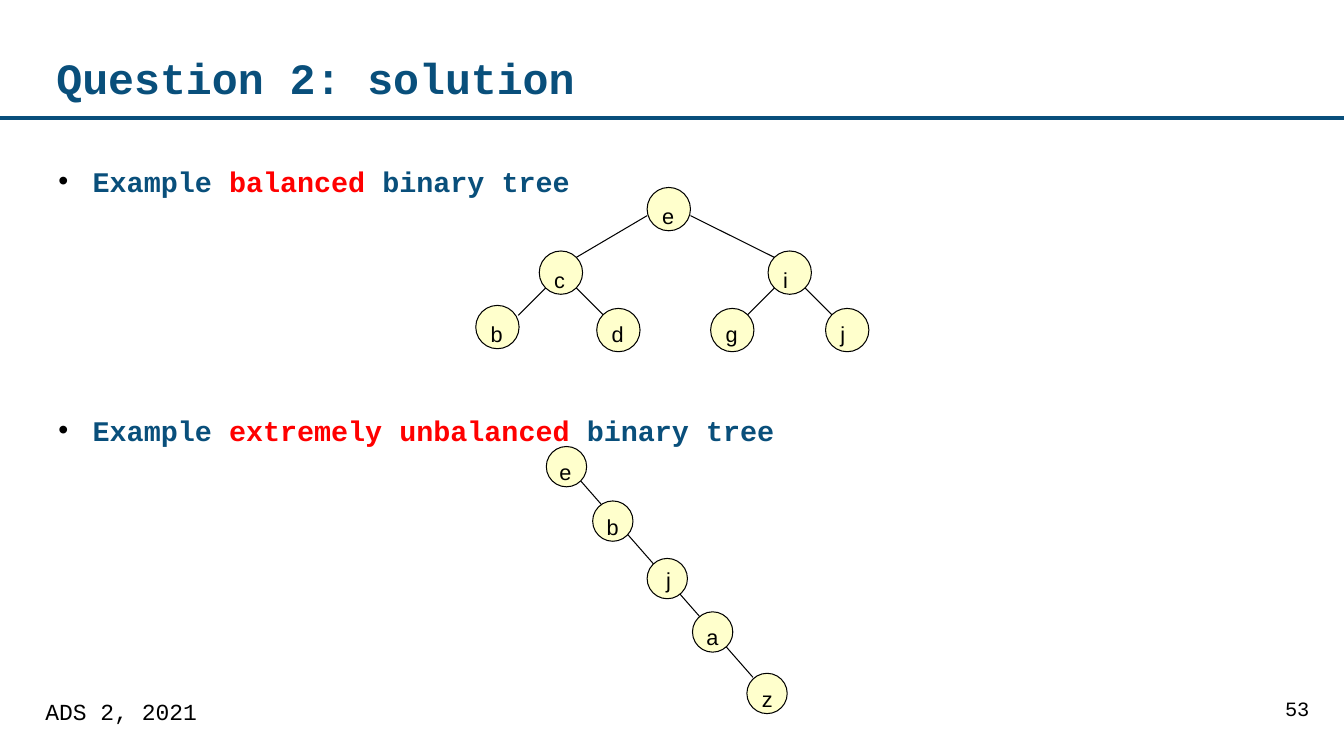
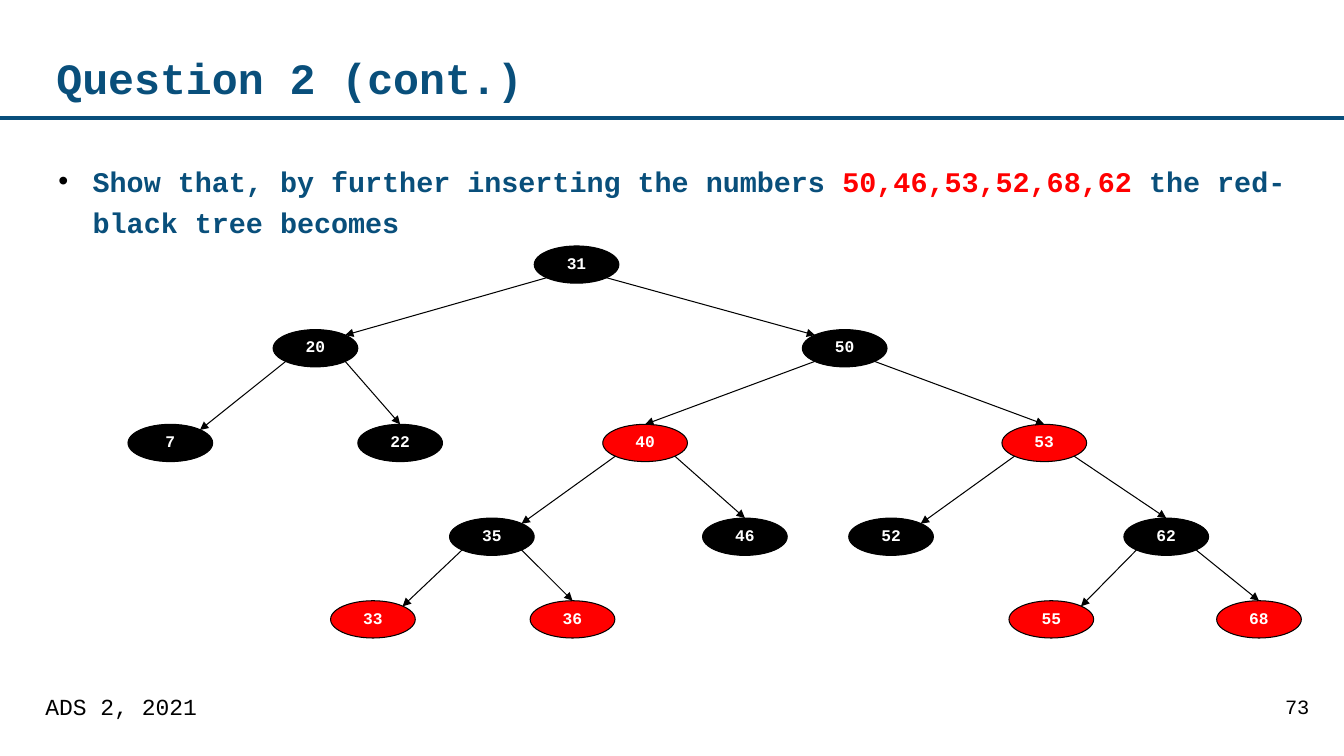
"""Build two lecture slides on balanced binary trees and red-black trees."""
import dataclasses
import functools

import lxml.etree
import pptx
import pptx.dml.color
import pptx.enum.shapes
import pptx.enum.text
import pptx.oxml.ns
import pptx.util

COLUMNS, ROWS = 133.33, 75
CELL = pptx.util.Inches(0.1)
ALIGN = pptx.enum.text.PP_ALIGN
ANCHOR = pptx.enum.text.MSO_ANCHOR
SHAPES = pptx.enum.shapes.MSO_SHAPE
RGB = pptx.dml.color.RGBColor.from_string


@dataclasses.dataclass(frozen=True)
class Theme:
    """Colours, fonts, type sizes and line widths of the deck."""
    blue: str = "094F7B"
    red: str = "FF0000"
    black: str = "000000"
    white: str = "FFFFFF"
    cream: str = "FFFFCC"
    mono: str = "Courier New"
    sans: str = "Arial"
    title: float = 30.9
    body: float = 20.3
    footer: float = 16.4
    page: float = 14.5
    letter: float = 15.5
    key: float = 11.6
    rule: float = 2.75
    thin: float = 0.75


THEME = Theme()

TOP = (0.5, 0)
UPPER_LEFT, UPPER_RIGHT = (0.15, 0.15), (0.85, 0.15)
LOWER_LEFT, LOWER_RIGHT = (0.15, 0.85), (0.85, 0.85)

LETTER_SIZE = 4.3
LETTERS = {
    "e": (64.2, 18.6, 1.5, 1.2),
    "c": (53.5, 24.9, 1.5, 1.2),
    "i": (76.2, 24.9, 1.5, 1.2),
    "b": (47.2, 30.3, 1.5, 1.2),
    "d": (59.2, 30.6, 1.5, 0.9),
    "g": (70.5, 30.6, 1.5, 0.9),
    "j": (81.9, 30.6, 1.5, 0.9),
}
LETTER_LINKS = [
    ("e", (0, 0.65), "c", UPPER_RIGHT),
    ("e", (1, 0.65), "i", UPPER_LEFT),
    ("c", LOWER_LEFT, "b", (0.98, 0.23)),
    ("c", LOWER_RIGHT, "d", UPPER_LEFT),
    ("i", LOWER_LEFT, "g", UPPER_RIGHT),
    ("i", LOWER_RIGHT, "j", UPPER_LEFT),
]

CHAIN_SIZE = 4
CHAIN = {
    "e": (54.2, 44.3, 1.3, 0.9),
    "b": (58.8, 49.7, 1.4, 0.9),
    "j": (64.2, 55.4, 1.9, 0.5),
    "a": (68.7, 60.7, 1.4, 0.8),
    "z": (74.1, 66.8, 1.5, 0.9),
}

KEY_WIDTH, KEY_HEIGHT = 8.4, 3.7
KEY_LEVELS = [
    (24.4, THEME.black, {"31": 53}),
    (32.7, THEME.black, {"20": 27.1, "50": 79.6}),
    (42.1, THEME.black, {"7": 12.7, "22": 35.5}),
    (42.1, THEME.red, {"40": 59.8, "53": 99.4}),
    (51.4, THEME.black, {"35": 44.6, "46": 69.7, "52": 84.2, "62": 111.5}),
    (59.6, THEME.red, {"33": 32.8, "36": 52.6, "55": 100.1, "68": 120.7}),
]
KEY_CHILDREN = {
    "31": ("20", "50"), "20": ("7", "22"), "50": ("40", "53"),
    "40": ("35", "46"), "53": ("52", "62"),
    "35": ("33", "36"), "62": ("55", "68"),
}
KEY_ENDS = {"40": TOP, "50": UPPER_LEFT}


def cells(*counts):
    """Turn counts of grid cells into lengths."""
    return [round(count * CELL) for count in counts]


def apply_format(target, values):
    """Set attributes, whose names may be dotted, from a dict."""
    for name, value in values.items():
        *owners, attribute = name.split(".")
        setattr(functools.reduce(getattr, owners, target), attribute, value)


def font_format(size, color, name=THEME.mono, bold=False):
    """Return the format values of a run's font."""
    return {"size": pptx.util.Pt(size), "name": name, "bold": bold,
            "color.rgb": RGB(color)}


def frame_format(left=0, top=0, right=0, bottom=0, anchor=ANCHOR.TOP):
    """Return the format values of a wrapping text frame."""
    sides = zip(("left", "top", "right", "bottom"),
                cells(left, top, right, bottom))
    margins = {f"margin_{side}": length for side, length in sides}
    return {"word_wrap": True, "vertical_anchor": anchor, **margins}


def write_runs(paragraph, runs, paragraph_values):
    """Fill a paragraph with pairs of text and font format."""
    apply_format(paragraph, paragraph_values)
    for text, font_values in runs:
        run = paragraph.add_run()
        run.text = text
        apply_format(run.font, font_values)


def add_text(slide, box, text, font_values, frame_values, **paragraph_values):
    """Add a text box with one line."""
    text_frame = slide.shapes.add_textbox(*cells(*box)).text_frame
    apply_format(text_frame, frame_values)
    write_runs(text_frame.paragraphs[0], [(text, font_values)],
               paragraph_values)


def add_bullet(paragraph):
    """Give a paragraph a hanging black bullet."""
    properties = paragraph._p.get_or_add_pPr()
    properties.set("marL", str(pptx.util.Inches(0.36)))
    properties.set("indent", str(pptx.util.Inches(-0.34)))
    qualify = pptx.oxml.ns.qn
    color = lxml.etree.SubElement(properties, qualify("a:buClr"))
    lxml.etree.SubElement(color, qualify("a:srgbClr"), val=THEME.black)
    lxml.etree.SubElement(properties, qualify("a:buFont"), typeface=THEME.sans)
    lxml.etree.SubElement(properties, qualify("a:buChar"), char="•")


def add_bullets(slide, bullets, gap=0):
    """Add bullets whose runs alternate between blue and red."""
    box = slide.shapes.add_textbox(*cells(5.6, 15.6, 122.2, 51.1))
    apply_format(box.text_frame, frame_format())
    for index, texts in enumerate(bullets):
        if index:
            paragraph = box.text_frame.add_paragraph()
        else:
            paragraph = box.text_frame.paragraphs[0]
        add_bullet(paragraph)
        colors = (THEME.blue, THEME.red, THEME.blue)
        runs = [(text, font_format(THEME.body, color, bold=True))
                for text, color in zip(texts, colors)]
        space = pptx.util.Pt(gap if index else 0)
        write_runs(paragraph, runs,
                   {"line_spacing": 1.2, "space_before": space})


def add_line(slide, start, end, color=THEME.black, width=THEME.thin,
             arrow=False):
    """Add a straight line, with an arrowhead at its end if asked."""
    line = slide.shapes.add_connector(
        pptx.enum.shapes.MSO_CONNECTOR.STRAIGHT, *cells(*start, *end))
    apply_format(line.line, {"color.rgb": RGB(color),
                             "width": pptx.util.Pt(width)})
    qualify = pptx.oxml.ns.qn
    if arrow:
        lxml.etree.SubElement(line.line._get_or_add_ln(),
                              qualify("a:tailEnd"), type="triangle")
    lxml.etree.SubElement(line._element.spPr, qualify("a:effectLst"))


def add_node(slide, box, text, fill, font_values, frame_values,
             **paragraph_values):
    """Add an outlined ellipse with its text."""
    node = slide.shapes.add_shape(SHAPES.OVAL, *cells(*box))
    node.fill.solid()
    apply_format(node, {"shadow.inherit": False,
                        "fill.fore_color.rgb": RGB(fill),
                        "line.color.rgb": RGB(THEME.black),
                        "line.width": pptx.util.Pt(THEME.thin)})
    apply_format(node.text_frame, frame_values)
    write_runs(node.text_frame.paragraphs[0], [(text, font_values)],
               paragraph_values)


def add_letters(slide, letters, size):
    """Add round nodes, each letter set off from its circle's corner."""
    corner = size * 0.15
    for letter, (left, top, right_shift, down_shift) in letters.items():
        add_node(slide, (left, top, size, size), letter, THEME.cream,
                 font_format(THEME.letter, THEME.black, THEME.sans),
                 frame_format(right_shift - corner, down_shift - corner),
                 alignment=ALIGN.LEFT, line_spacing=1.15)


def point_on(box, share):
    """Find the point at a share of a box's width and height."""
    left, top, width, height = box
    return left + share[0] * width, top + share[1] * height


def add_balanced_tree(slide):
    """Add the tree of letters with plain links."""
    add_letters(slide, LETTERS, LETTER_SIZE)
    boxes = {letter: (*place[:2], LETTER_SIZE, LETTER_SIZE)
             for letter, place in LETTERS.items()}
    for parent, start, child, end in LETTER_LINKS:
        add_line(slide, point_on(boxes[parent], start),
                 point_on(boxes[child], end))


def add_chain(slide):
    """Add the unbalanced tree as circles on one line."""
    add_line(slide, (57.6, 47.7), (74.7, 67.2))
    add_letters(slide, CHAIN, CHAIN_SIZE)


def add_red_black_tree(slide):
    """Add the coloured keys and the arrows to their children."""
    boxes = {}
    for top, color, keys in KEY_LEVELS:
        for key, left in keys.items():
            boxes[key] = (left, top, KEY_WIDTH, KEY_HEIGHT)
            add_node(slide, boxes[key], key, color,
                     font_format(THEME.key, THEME.white, bold=True),
                     frame_format(1, 0.5, 1, 0.5, ANCHOR.MIDDLE),
                     alignment=ALIGN.CENTER, line_spacing=0.82)
    sides = ((LOWER_LEFT, UPPER_RIGHT), (LOWER_RIGHT, TOP))
    for parent, children in KEY_CHILDREN.items():
        for child, (start, end) in zip(children, sides):
            add_line(slide, point_on(boxes[parent], start),
                     point_on(boxes[child], KEY_ENDS.get(child, end)),
                     arrow=True)


def add_slide(presentation, title, page, footer_top, page_top):
    """Add a blank slide with its rule, title, footer and page number."""
    slide = presentation.slides.add_slide(presentation.slide_layouts[6])
    add_line(slide, (0, 11.7), (COLUMNS, 11.7), THEME.blue, THEME.rule)
    add_text(slide, (5.6, 3.3, 113.8, 8.6), title,
             font_format(THEME.title, THEME.blue, bold=True),
             frame_format(anchor=ANCHOR.MIDDLE), line_spacing=1.04)
    margins = frame_format(1.1, 0.5, 1.2, 0.5)
    add_text(slide, (3.4, footer_top, 84.3, 5.2), "ADS 2, 2021",
             font_format(THEME.footer, THEME.black), margins)
    add_text(slide, (109.6, page_top, 21.5, 5.2), page,
             font_format(THEME.page, THEME.black), margins,
             alignment=ALIGN.RIGHT)
    return slide


def main():
    """Build and save the slides."""
    presentation = pptx.Presentation()
    width, height = cells(COLUMNS, ROWS)
    apply_format(presentation, {"slide_width": width, "slide_height": height})

    solution = add_slide(presentation, "Question 2: solution", "53", 68.7, 68.6)
    add_bullets(solution, [
        ("Example ", "balanced", " binary tree"),
        ("Example ", "extremely unbalanced ", "binary tree"),
    ], gap=148.5)
    add_balanced_tree(solution)
    add_chain(solution)

    continued = add_slide(presentation, "Question 2 (cont.)", "73", 68.2, 68.4)
    add_bullets(continued, [
        ("Show that, by further inserting the numbers ",
         "50,46,53,52,68,62", " the red-black tree becomes"),
    ])
    add_red_black_tree(continued)
    presentation.save("out.pptx")


if __name__ == "__main__":
    main()
